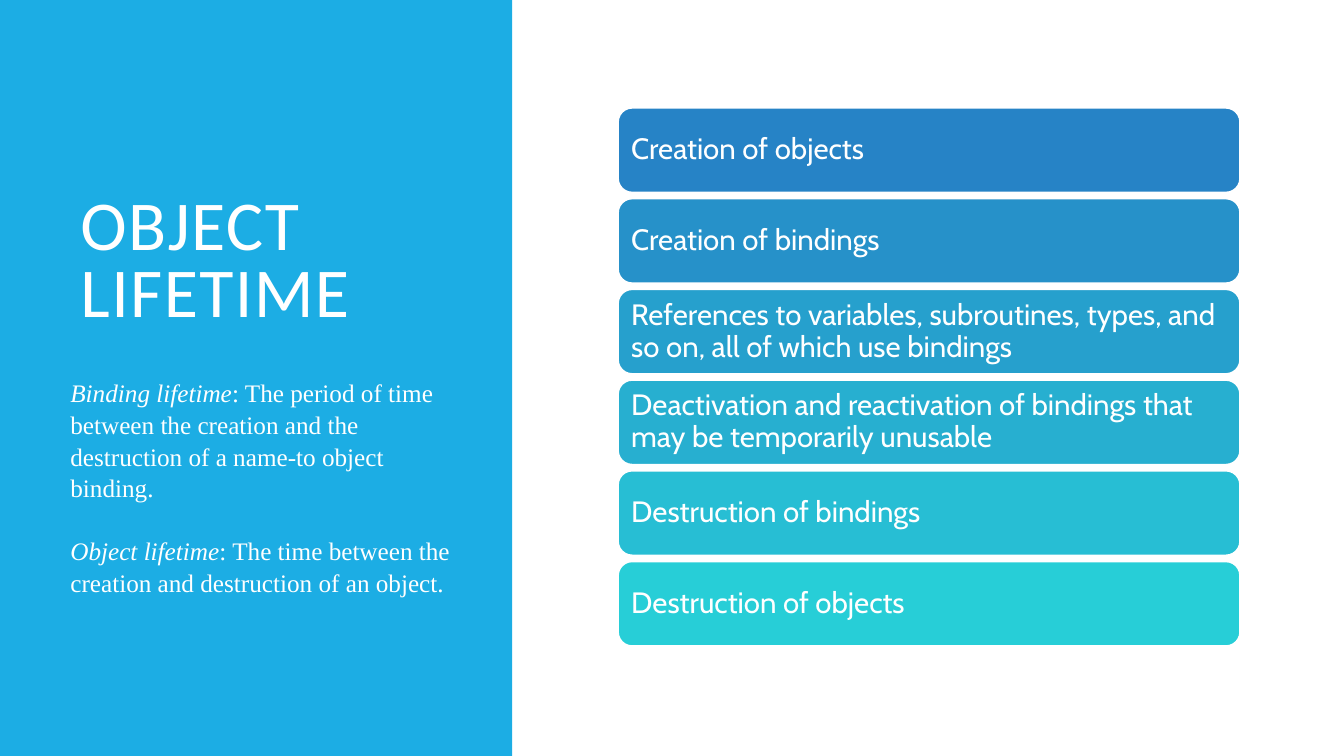
from pptx import Presentation
from pptx import util as u
from pptx.dml.color import RGBColor
from pptx.enum import shapes, text

PX = 9144
COLORS = {"panel": "1CADE4", "white": "FFFFFF"}
STAGES = [
    ("Creation of objects", "2683C6"),
    ("Creation of bindings", "2691C9"),
    ("References to variables, subroutines, types, and so on, all of which use bindings", "26A0CD"),
    ("Deactivation and reactivation of bindings that may be temporarily unusable", "27AFD0"),
    ("Destruction of bindings", "27BED4"),
    ("Destruction of objects", "27CED7"),
]
DEFINITIONS = [
    ("Binding lifetime", ": The period of time between the creation and the destruction of a name-to object binding."),
    ("Object lifetime", ": The time between the creation and destruction of an object."),
]


class SlideBuilder:
    heading_font, body_font, card_font = "Calibri", "Times New Roman", "Cabin"

    def __init__(self, slide):
        self.slide = slide

    def box(self, kind, bounds, fill):
        box = self.slide.shapes.add_shape(kind, *[v * PX for v in bounds])
        box.shadow.inherit = False
        box.fill.solid()
        box.fill.fore_color.rgb = RGBColor.from_string(fill)
        box.line.fill.background()
        return box

    def style(self, paragraph, font, size, spacing):
        paragraph.font.name = font
        paragraph.font.size = u.Pt(size)
        paragraph.font.color.rgb = RGBColor.from_string(COLORS["white"])
        paragraph.line_spacing = spacing
        paragraph.alignment = text.PP_ALIGN.LEFT

    def text_frame(self, bounds, anchor):
        frame = self.slide.shapes.add_textbox(*[v * PX for v in bounds]).text_frame
        frame.word_wrap = True
        frame.vertical_anchor = anchor
        return frame

    def panel(self, bounds):
        self.box(shapes.MSO_SHAPE.RECTANGLE, bounds, COLORS["panel"])

    def title(self, bounds, wording):
        heading = self.text_frame(bounds, text.MSO_ANCHOR.MIDDLE).paragraphs[0]
        run = heading.add_run()
        run.text = wording
        run._r.get_or_add_rPr().set("spc", "100")
        self.style(heading, self.heading_font, 50, 0.8)

    def card(self, bounds, wording, fill):
        card = self.box(shapes.MSO_SHAPE.ROUNDED_RECTANGLE, bounds, fill)
        card.line.color.rgb = RGBColor.from_string(COLORS["white"])
        card.line.width = u.Pt(1.25)
        frame = card.text_frame
        frame.word_wrap = True
        frame.vertical_anchor = text.MSO_ANCHOR.MIDDLE
        frame.margin_left = frame.margin_right = 9 * PX
        frame.margin_top = frame.margin_bottom = 9 * PX
        frame.text = wording
        self.style(frame.paragraphs[0], self.card_font, 21, 0.9)

    def definitions(self, bounds, entries):
        frame = self.text_frame(bounds, text.MSO_ANCHOR.TOP)
        for index, (term, meaning) in enumerate(entries):
            entry = frame.add_paragraph() if index else frame.paragraphs[0]
            self.style(entry, self.body_font, 18, 1.05)
            entry.space_before = u.Pt(22 if index else 0)
            term_run = entry.add_run()
            term_run.text = term
            term_run.font.italic = True
            entry.add_run().text = meaning


def main():
    deck = Presentation()
    deck.slide_width, deck.slide_height = 1333 * PX, 750 * PX
    builder = SlideBuilder(deck.slides.add_slide(deck.slide_layouts[6]))
    builder.panel((0, 0, 508, 750))
    builder.title((70, -43, 374, 609), "OBJECT LIFETIME")
    for index, (stage, fill) in enumerate(STAGES):
        builder.card((613, 107 + 90 * index, 617, 84), stage, fill)
    builder.definitions((60, 368, 416, 222), DEFINITIONS)
    deck.save("out.pptx")


if __name__ == "__main__":
    main()
